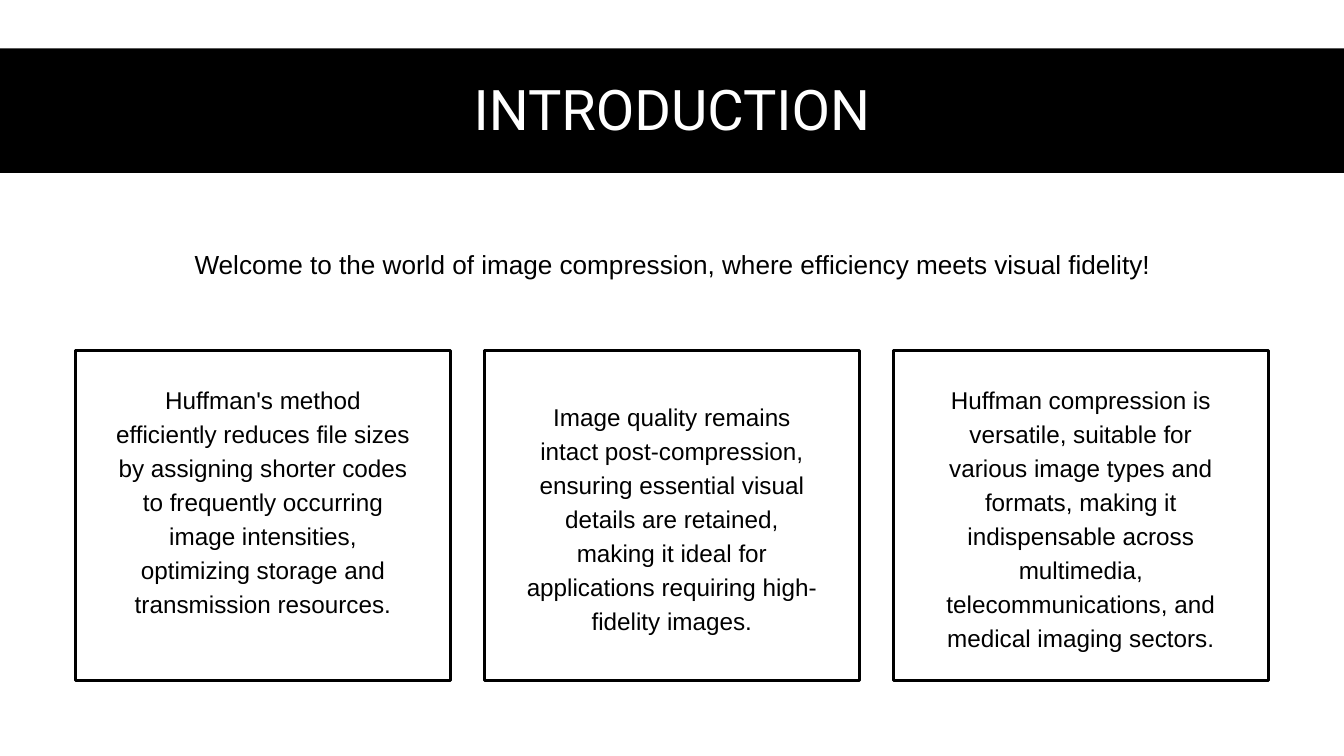
from pptx import Presentation
from pptx.dml.color import RGBColor
from pptx.enum.shapes import MSO_SHAPE
from pptx.enum.text import MSO_AUTO_SIZE, PP_ALIGN
from pptx.util import Pt

BLACK = RGBColor(0, 0, 0)
WHITE = RGBColor(255, 255, 255)

TITLE = "INTRODUCTION"
WELCOME = "Welcome to the world of image compression, where efficiency meets visual fidelity!"
# text, text top, text width, text height
CARDS = [
    ("Huffman's method efficiently reduces file sizes by assigning shorter codes "
     "to frequently occurring image intensities, optimizing storage and "
     "transmission resources.", 407.5, 316, 286.5),
    ("Image quality remains intact post-compression, ensuring essential visual "
     "details are retained, making it ideal for applications requiring "
     "high-fidelity images.", 425.5, 316, 250.5),
    ("Huffman compression is versatile, suitable for various image types and "
     "formats, making it indispensable across multimedia, telecommunications, "
     "and medical imaging sectors.", 407.5, 327, 286.5),
]

SLIDE_W, SLIDE_H = 1440, 810
MARGIN = 81
CONTENT_W = SLIDE_W - 2 * MARGIN
BLEED = 79
CARD_TOP, CARD_W, CARD_H = 375.75, 401.75, 353.25
CARD_STEP = (CONTENT_W - CARD_W) / (len(CARDS) - 1)


def add_box(s, left, top, width, height):
    box = s.shapes.add_shape(MSO_SHAPE.RECTANGLE, Pt(left), Pt(top), Pt(width), Pt(height))
    box.shadow.inherit = False
    return box


def add_text(s, text, left, top, width, height, size, spacing, font="Arial", color=BLACK):
    tf = s.shapes.add_textbox(Pt(left), Pt(top), Pt(width), Pt(height)).text_frame
    tf.word_wrap = True
    tf.auto_size = MSO_AUTO_SIZE.SHAPE_TO_FIT_TEXT
    tf.margin_left = tf.margin_top = tf.margin_right = tf.margin_bottom = 0
    tf.text = text
    p = tf.paragraphs[0]
    p.alignment = PP_ALIGN.CENTER
    p.line_spacing = Pt(spacing)
    r = p.runs[0]
    r.font.name = font
    r.font.size = Pt(size)
    r.font.color.rgb = color


prs = Presentation()
prs.slide_width, prs.slide_height = Pt(SLIDE_W), Pt(SLIDE_H)
s = prs.slides.add_slide(prs.slide_layouts[6])

band = add_box(s, -BLEED, 51.75, SLIDE_W + 2 * BLEED, 133.5)
band.fill.solid()
band.fill.fore_color.rgb = BLACK
band.line.fill.background()
add_text(s, TITLE, MARGIN, 88, CONTENT_W, 67.5, 60, 64.2, "Roboto", WHITE)
add_text(s, WELCOME, MARGIN, 260, CONTENT_W, 38, 28, 39.2)

for i, (text, top, width, height) in enumerate(CARDS):
    left = MARGIN + i * CARD_STEP
    card = add_box(s, left, CARD_TOP, CARD_W, CARD_H)
    card.fill.background()
    card.line.color.rgb = BLACK
    card.line.width = Pt(3)
    add_text(s, text, left + (CARD_W - width) / 2, top, width, height, 26, 36.4)

prs.save("out.pptx")
